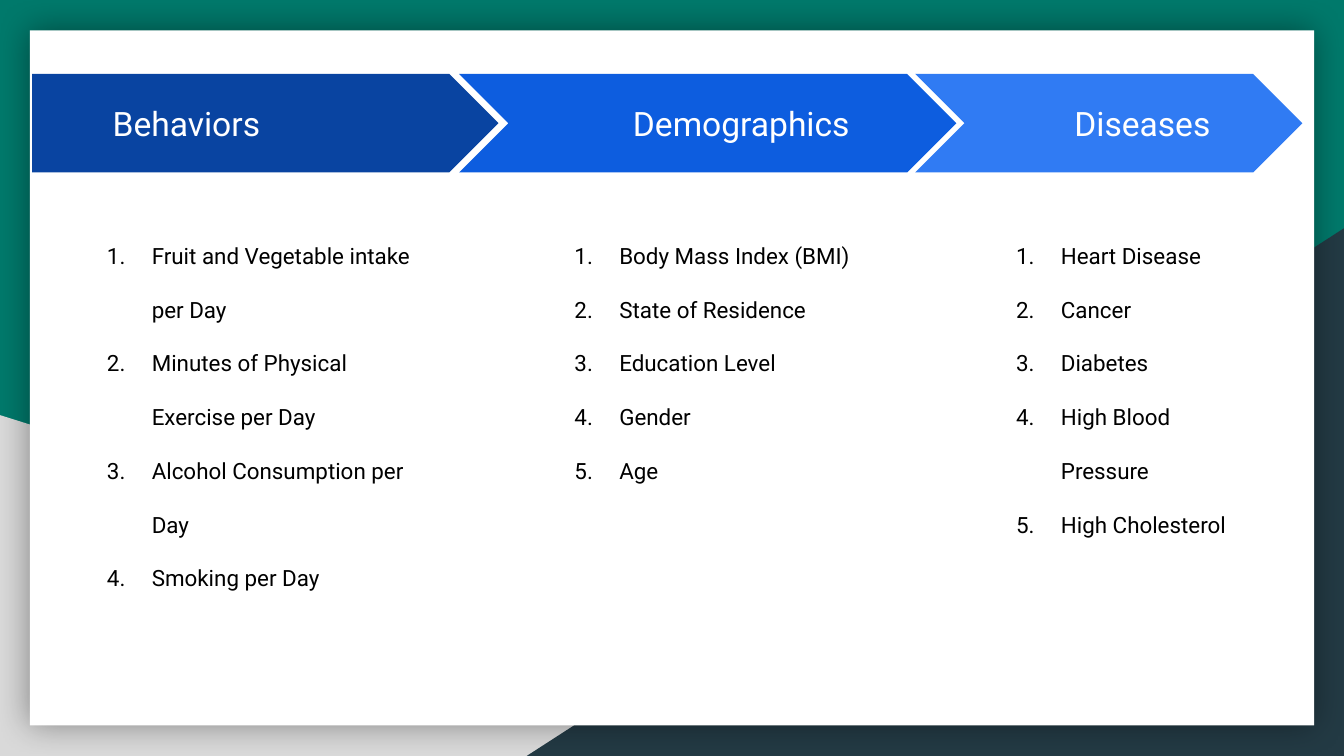
from pptx import Presentation
from pptx.dml.color import RGBColor
from pptx.enum import shapes as kinds, text as t
from pptx.oxml import parse_xml
from pptx.oxml.ns import nsdecls, qn
from pptx.util import Pt

WIDTH, HEIGHT = 720, 405
FONT = "Roboto"
ARROW_TOP, ARROW_HEIGHT = 39.6, 52.8
LIST_TOP, LIST_HEIGHT = 108, 206
INDENT, HANGING = 36, 24

HOME_PLATE = kinds.MSO_SHAPE.PENTAGON
CHEVRON = kinds.MSO_SHAPE.CHEVRON
LEFT, CENTER = t.PP_ALIGN.LEFT, t.PP_ALIGN.CENTER

COLUMNS = [
    ("Behaviors", HOME_PLATE, LEFT, "0944A1", (17.3, 249.8), (38.2, 190.8),
     ["Fruit and Vegetable intake per Day", "Minutes of Physical Exercise per Day",
      "Alcohol Consumption per Day", "Smoking per Day"]),
    ("Demographics", CHEVRON, CENTER, "0D5DDF", (246, 266.4), (288.7, 180),
     ["Body Mass Index (BMI)", "State of Residence", "Education Level", "Gender", "Age"]),
    ("Diseases", CHEVRON, CENTER, "307BF3", (490.3, 207.4), (525.3, 139.7),
     ["Heart Disease", "Cancer", "Diabetes", "High Blood Pressure", "High Cholesterol"]),
]


def color(value):
    """Return the colour for a hex string."""
    return RGBColor.from_string(value)


def add_filled(slide, kind, box, fill):
    """Add a flat preset shape without outline in a box given in points."""
    shape = slide.shapes.add_shape(kind, *map(Pt, box))
    shape.shadow.inherit = False
    shape.fill.solid()
    shape.fill.fore_color.rgb = color(fill)
    shape.line.fill.background()
    return shape


def set_margins(frame):
    """Wrap the text and give all four sides the same inset."""
    frame.word_wrap = True
    frame.margin_left = frame.margin_right = Pt(7.2)
    frame.margin_top = frame.margin_bottom = Pt(7.2)


def format_paragraph(paragraph, size, ink):
    """Set the font of a paragraph."""
    paragraph.font.name = FONT
    paragraph.font.size = Pt(size)
    paragraph.font.color.rgb = color(ink)


def add_backdrop(slide, width, height):
    """Draw the green ground, the two corner triangles and the white card."""
    slide.background.fill.solid()
    slide.background.fill.fore_color.rgb = color("00796B")
    triangle = kinds.MSO_SHAPE.RIGHT_TRIANGLE
    add_filled(slide, triangle, (0, height - 182.6, 580.3, 182.6), "D9D9D9")
    dark = add_filled(slide, triangle, (width - 437.8, height - 282.7, 437.8, 282.7), "233A44")
    dark._element.spPr.find(qn("a:xfrm")).set("flipH", "1")
    card = add_filled(slide, kinds.MSO_SHAPE.RECTANGLE,
                      (16, 16.3, width - 32, height - 32.6), "FFFFFF")
    card._element.spPr.find(qn("a:effectLst")).append(parse_xml(
        f'<a:outerShdw {nsdecls("a")} blurRad="{Pt(18)}" algn="ctr" rotWithShape="0">'
        '<a:srgbClr val="000000"><a:alpha val="40000"/></a:srgbClr></a:outerShdw>'))


def add_arrow(slide, box, kind, fill, heading, alignment):
    """Draw one arrow of the banner with its heading."""
    arrow = add_filled(slide, kind, box, fill)
    arrow.adjustments[0] = 0.5
    frame = arrow.text_frame
    set_margins(frame)
    frame.vertical_anchor = t.MSO_ANCHOR.MIDDLE
    paragraph = frame.paragraphs[0]
    paragraph.text = heading
    paragraph.alignment = alignment
    paragraph._p.get_or_add_pPr().set("indent", str(Pt(INDENT)))
    format_paragraph(paragraph, 18, "FFFFFF")


def add_numbered_list(slide, box, items):
    """Write a double-spaced numbered list."""
    frame = slide.shapes.add_textbox(*map(Pt, box)).text_frame
    set_margins(frame)
    for index, item in enumerate(items):
        paragraph = frame.add_paragraph() if index else frame.paragraphs[0]
        paragraph.text = item
        paragraph.line_spacing = 2.0
        format_paragraph(paragraph, 12, "000000")
        properties = paragraph._p.get_or_add_pPr()
        properties.set("marL", str(Pt(INDENT)))
        properties.set("indent", str(-Pt(HANGING)))
        number = parse_xml(f'<a:buAutoNum {nsdecls("a")} type="arabicPeriod"/>')
        properties.find(qn("a:defRPr")).addprevious(number)


def main():
    """Build and save the slide."""
    presentation = Presentation()
    presentation.slide_width, presentation.slide_height = Pt(WIDTH), Pt(HEIGHT)
    slide = presentation.slides.add_slide(presentation.slide_layouts[6])
    add_backdrop(slide, WIDTH, HEIGHT)
    for heading, kind, alignment, fill, arrow, listing, items in COLUMNS:
        add_arrow(slide, (arrow[0], ARROW_TOP, arrow[1], ARROW_HEIGHT),
                  kind, fill, heading, alignment)
        add_numbered_list(slide, (listing[0], LIST_TOP, listing[1], LIST_HEIGHT), items)
    presentation.save("out.pptx")


if __name__ == "__main__":
    main()
